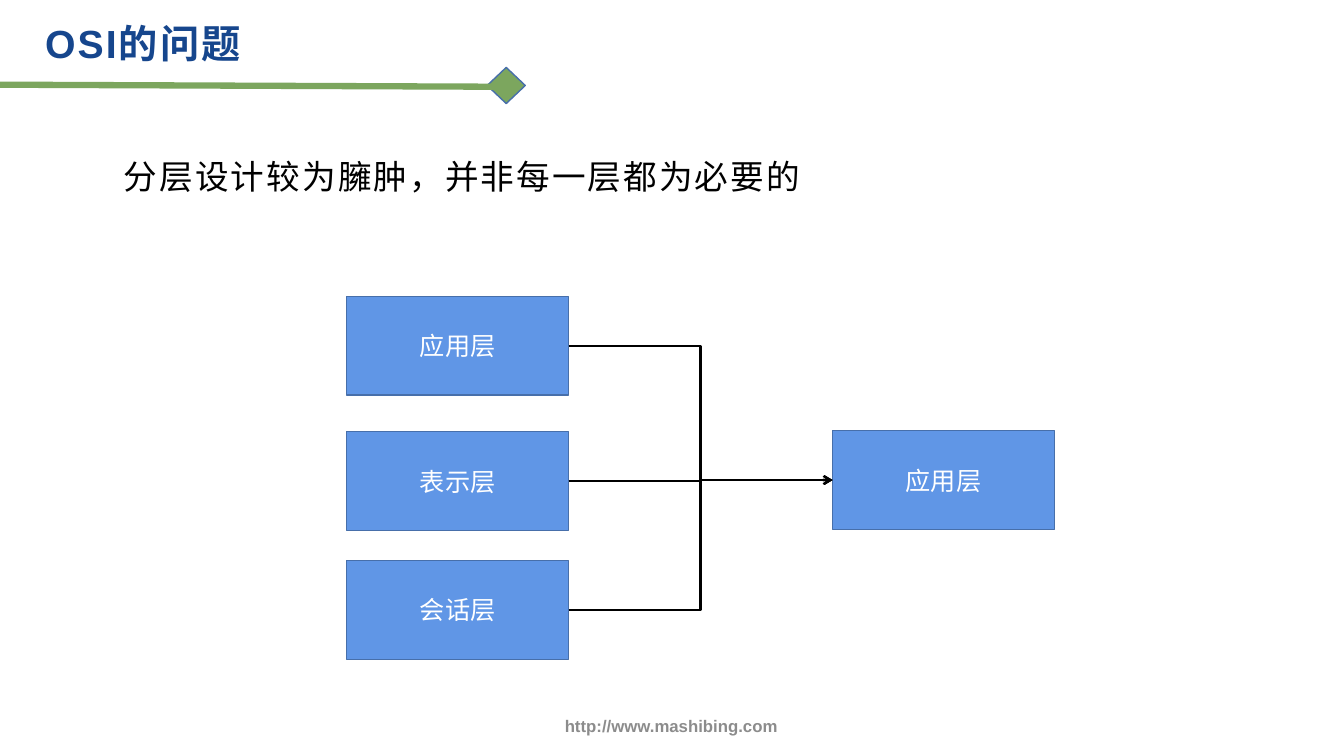
from lxml.etree import SubElement
from pptx import Presentation
from pptx.dml.color import RGBColor
from pptx.enum.shapes import MSO_CONNECTOR as Connector, MSO_SHAPE as Shape
from pptx.enum.text import MSO_ANCHOR as Anchor, PP_ALIGN as Align
from pptx.oxml.ns import qn
from pptx.util import Pt

WHITE = RGBColor(0xFF, 0xFF, 0xFF)
BLACK = RGBColor(0, 0, 0)
NAVY = RGBColor(0x16, 0x46, 0x8D)
GRAY = RGBColor(0x8C, 0x8C, 0x8C)
BLUE = RGBColor(0x60, 0x96, 0xE6)
OUTLINE = RGBColor(0x47, 0x6F, 0xAA)
GREEN = RGBColor(0x7C, 0xA6, 0x5E)

LEFT_SITE, RIGHT_SITE = 1, 3
LAYER_WIDTH, LAYER_HEIGHT = 158.4, 70.6
OLD_LAYERS = [("应用层", 211.7), ("表示层", 308.2), ("会话层", 400.3)]


def write(para, text, size, color, bold=False):
    span = para.add_run()
    span.text = text
    font = span.font
    font.name, font.size, font.bold = "Arial", Pt(size), bold
    font.color.rgb = color
    return span


def add_text_box(page, left, top, width, height):
    box = page.shapes.add_textbox(Pt(left), Pt(top), Pt(width), Pt(height))
    box.text_frame.word_wrap = True
    return box.text_frame


def add_spaced_text(page, area, text, size, color, bold=False):
    """Text with widened letter spacing and 1.3 line spacing."""
    para = add_text_box(page, *area).paragraphs[0]
    para.line_spacing = 1.3
    para.space_after = Pt(6)
    span = write(para, text, size, color, bold)
    span.font._element.set("spc", "150")


def add_footer(page, text):
    frame = add_text_box(page, 309.6, 496.8, 339.8, 43.2)
    frame.vertical_anchor = Anchor.MIDDLE
    para = frame.paragraphs[0]
    para.alignment = Align.CENTER
    write(para, text, 12, GRAY, bold=True)


def add_outlined_shape(page, kind, left, top, width, height, fill):
    shape = page.shapes.add_shape(kind, Pt(left), Pt(top), Pt(width), Pt(height))
    shape.shadow.inherit = False
    shape.fill.solid()
    shape.fill.fore_color.rgb = fill
    shape.line.color.rgb = OUTLINE
    shape.line.width = Pt(1)
    return shape


def add_layer(page, name, left, top):
    layer = add_outlined_shape(page, Shape.RECTANGLE, left, top,
                               LAYER_WIDTH, LAYER_HEIGHT, BLUE)
    layer.text_frame.vertical_anchor = Anchor.MIDDLE
    para = layer.text_frame.paragraphs[0]
    para.alignment = Align.CENTER
    write(para, name, 18, WHITE)
    return layer


def add_line(page, kind, start, end, color, width):
    line = page.shapes.add_connector(kind, *map(Pt, start + end))
    line.line.color.rgb = color
    line.line.width = Pt(width)
    SubElement(line._element.spPr, qn("a:effectLst"))
    return line


def add_arrow(page, source, target):
    arrow = add_line(page, Connector.ELBOW, (0, 0), (0, 0), BLACK, 1.5)
    arrow.begin_connect(source, RIGHT_SITE)
    arrow.end_connect(target, LEFT_SITE)
    SubElement(arrow.line._get_or_add_ln(), qn("a:tailEnd"), type="arrow")


def main():
    deck = Presentation()
    deck.slide_width, deck.slide_height = Pt(960), Pt(540)
    page = deck.slides.add_slide(deck.slide_layouts[6])

    add_outlined_shape(page, Shape.DIAMOND, 348, 48.2, 27.2, 25.8, GREEN)
    add_footer(page, "http://www.mashibing.com")
    add_line(page, Connector.STRAIGHT, (0, 60.5), (365, 62), GREEN, 4.5)
    add_spaced_text(page, (81.4, 99.4, 794, 340.6),
                    "分层设计较为臃肿，并非每一层都为必要的", 24, BLACK)
    add_spaced_text(page, (25.2, 0, 340.6, 54), "OSI的问题", 28, NAVY, bold=True)

    old_layers = [add_layer(page, name, 247.7, top) for name, top in OLD_LAYERS]
    merged_layer = add_layer(page, "应用层", 594.7, 307.6)
    for layer in old_layers:
        add_arrow(page, layer, merged_layer)

    deck.save("out.pptx")


if __name__ == "__main__":
    main()
